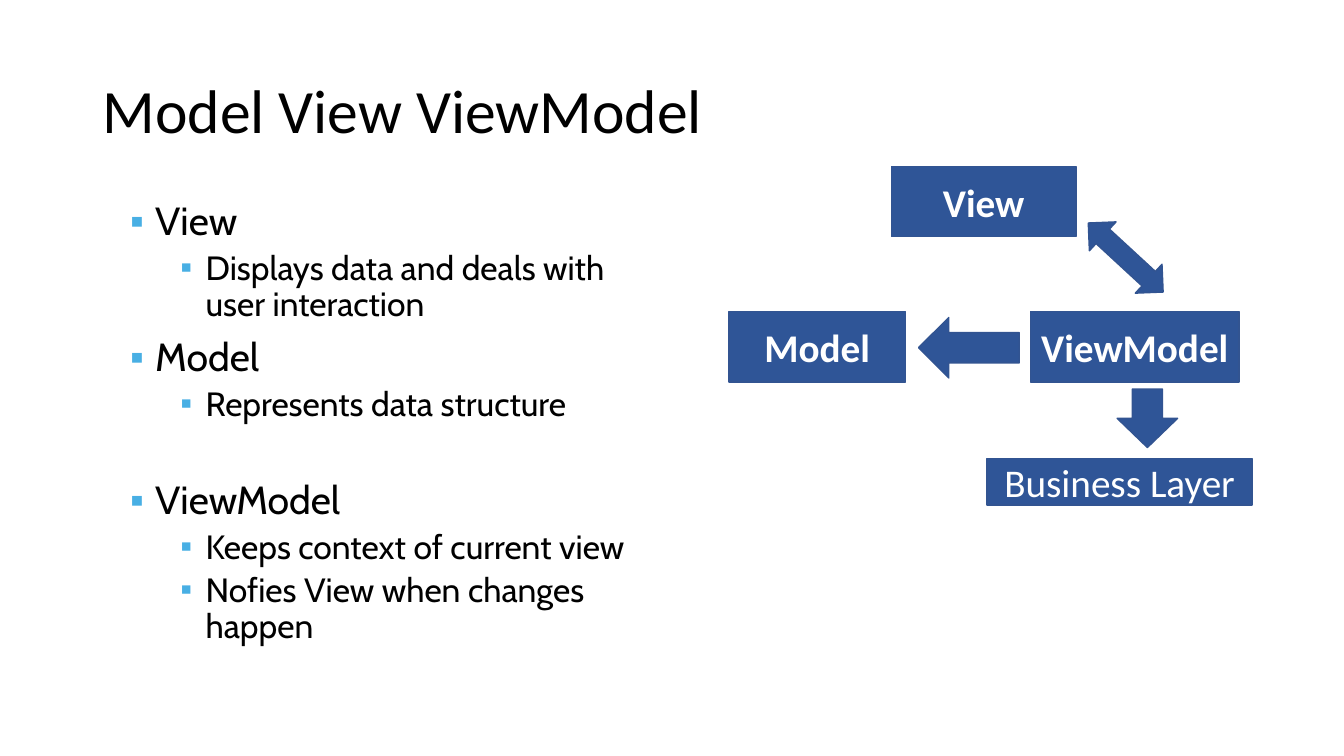
from dataclasses import dataclass

from lxml import etree
from pptx import Presentation
from pptx.dml.color import RGBColor
from pptx.enum.shapes import MSO_SHAPE
from pptx.enum.text import MSO_ANCHOR, MSO_AUTO_SIZE, PP_ALIGN
from pptx.oxml.ns import qn
from pptx.util import Inches, Pt

RECT = MSO_SHAPE.RECTANGLE
LEFT_ARROW = MSO_SHAPE.LEFT_ARROW
BOTH_ARROW = MSO_SHAPE.LEFT_RIGHT_ARROW
MIDDLE = MSO_ANCHOR.MIDDLE
NO_FIT = MSO_AUTO_SIZE.NONE
LEFT = PP_ALIGN.LEFT
CENTER = PP_ALIGN.CENTER


@dataclass(frozen=True)
class Theme:
    ink: str = "000000"
    paper: str = "FFFFFF"
    fill: str = "2F5597"
    edge: str = "325491"
    mark: str = "48AFE4"
    head: str = "Calibri"
    body: str = "Cabin"
    title: int = 44
    large: int = 28
    small: int = 24


def assign(target, values):
    for name, value in values.items():
        setattr(target, name, value)


class Board:
    cols = 100
    rows = 100

    def __init__(self, deck, theme):
        self.theme = theme
        self.wide = deck.slide_width / self.cols
        self.high = deck.slide_height / self.rows
        self.slide = deck.slides.add_slide(deck.slide_layouts[1])

    def area(self, x, y, w, h):
        return [int(x * self.wide), int(y * self.high),
                int(w * self.wide), int(h * self.high)]

    def place(self, shape, box):
        assign(shape, dict(zip(("left", "top", "width", "height"), self.area(*box))))

    def label(self, para, text, font, size, color, bold=False):
        run = para.add_run()
        run.text = text
        assign(run.font, {"name": font, "size": Pt(size), "bold": bold})
        run.font.color.rgb = RGBColor.from_string(color)

    def title(self, text, box):
        shape = self.slide.shapes.title
        self.place(shape, box)
        assign(shape.text_frame, {"vertical_anchor": MIDDLE, "auto_size": NO_FIT})
        para = shape.text_frame.paragraphs[0]
        assign(para, {"alignment": LEFT, "line_spacing": 0.9})
        self.label(para, text, self.theme.head, self.theme.title, self.theme.ink)

    def bullet(self, para, inset):
        props = para._p.get_or_add_pPr()
        props.set("marL", str(Inches(inset)))
        props.set("indent", str(Inches(-0.25)))
        color = etree.SubElement(props, qn("a:buClr"))
        etree.SubElement(color, qn("a:srgbClr"), val=self.theme.mark)
        etree.SubElement(props, qn("a:buChar"), char="▪")

    def points(self, items, box):
        shape = self.slide.placeholders[1]
        self.place(shape, box)
        frame = shape.text_frame
        assign(frame, {
            "vertical_anchor": MIDDLE, "auto_size": NO_FIT, "word_wrap": True,
            "margin_left": Inches(0.37), "margin_right": Inches(0.1),
            "margin_top": 0, "margin_bottom": 0,
        })
        for index, (level, gap, text) in enumerate(items):
            para = frame.add_paragraph() if index else frame.paragraphs[0]
            assign(para, {"level": level, "alignment": LEFT, "line_spacing": 0.9,
                          "space_before": Pt(gap), "space_after": Pt(0)})
            self.bullet(para, 0.25 + level / 2)
            size = self.theme.small if level else self.theme.large
            self.label(para, text, self.theme.body, size, self.theme.ink)

    def shape(self, kind, box, turn=0):
        shape = self.slide.shapes.add_shape(kind, *self.area(*box))
        assign(shape, {"rotation": turn})
        assign(shape.shadow, {"inherit": False})
        shape.fill.solid()
        shape.fill.fore_color.rgb = RGBColor.from_string(self.theme.fill)
        shape.line.color.rgb = RGBColor.from_string(self.theme.edge)
        shape.line.width = Pt(1)
        return shape

    def node(self, text, box, bold=True):
        frame = self.shape(RECT, box).text_frame
        assign(frame, {"vertical_anchor": MIDDLE, "word_wrap": False})
        para = frame.paragraphs[0]
        para.alignment = CENTER
        self.label(para, text, self.theme.head, self.theme.large, self.theme.paper, bold)


def main():
    deck = Presentation()
    assign(deck, {"slide_width": Inches(13.33), "slide_height": Inches(7.5)})
    board = Board(deck, Theme())

    board.title("Model View ViewModel", (6.9, 5.33, 86.27, 19.33))
    board.points([
        (0, 10, "View"),
        (1, 5, "Displays data and deals with user interaction"),
        (0, 10, "Model"),
        (1, 5, "Represents data structure"),
        (0, 41, "ViewModel"),
        (1, 5, "Keeps context of current view"),
        (1, 5, "Nofies View when changes happen"),
    ], (6.9, 26.4, 43.74, 59.33))

    tall, mid = 9.33, 41.2
    board.node("Model", (54.24, mid, 13.13, tall))
    board.node("ViewModel", (76.67, mid, 15.53, tall))
    board.node("View", (66.32, 22, 13.73, tall))
    board.node("Business Layer", (73.44, 60.67, 19.73, 6.13), bold=False)

    board.shape(BOTH_ARROW, (79.97, 31.47, 7.58, 5.2), 42.7)
    board.shape(LEFT_ARROW, (68.34, 42, 7.5, 8))
    board.shape(LEFT_ARROW, (83.2, 51.33, 4.35, 8), 270)

    deck.save("out.pptx")


if __name__ == "__main__":
    main()
